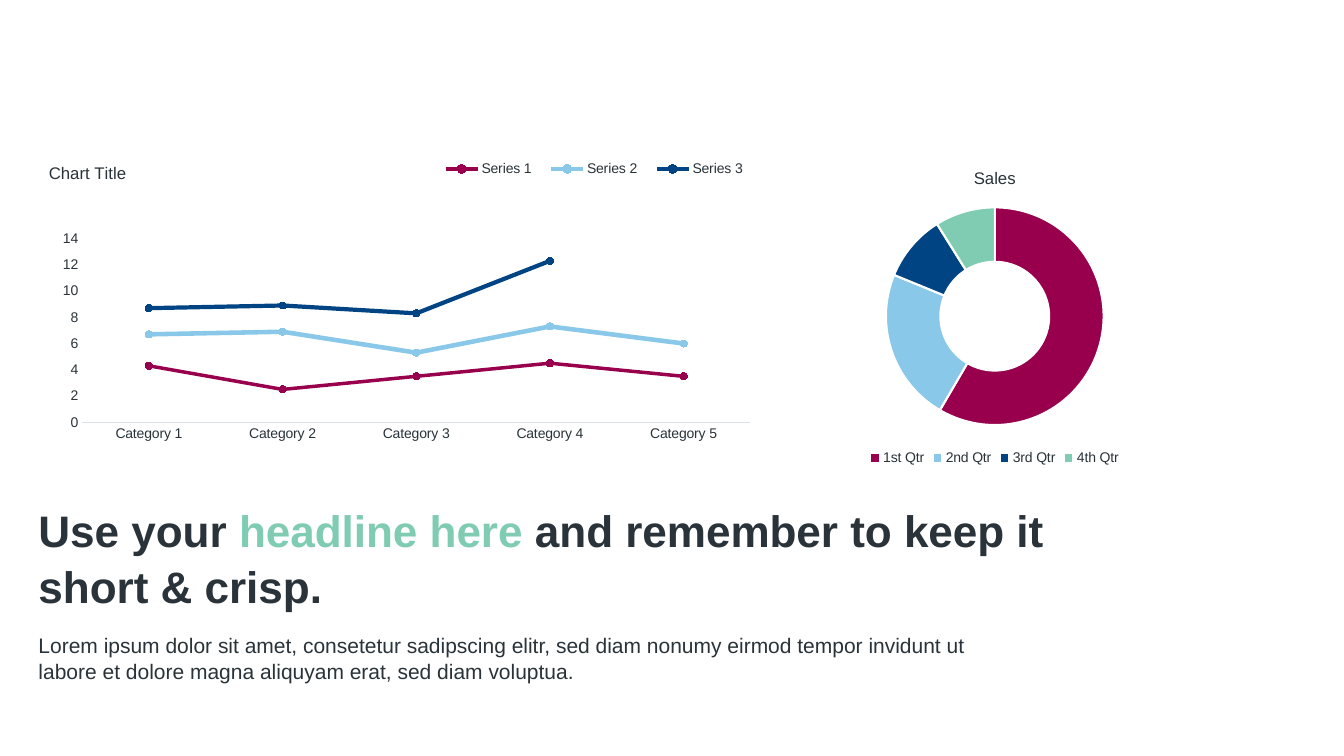
from lxml.etree import SubElement
from pptx import Presentation
from pptx.chart.data import CategoryChartData as ChartData
from pptx.dml.color import RGBColor
from pptx.enum.chart import XL_CHART_TYPE as ChartType
from pptx.enum.chart import XL_LEGEND_POSITION as LegendPosition
from pptx.enum.chart import XL_MARKER_STYLE as MarkerStyle
from pptx.enum.chart import XL_TICK_MARK as TickMark
from pptx.enum.text import MSO_ANCHOR as Anchor
from pptx.enum.text import MSO_AUTO_SIZE as AutoSize
from pptx.enum.text import PP_ALIGN as Align
from pptx.oxml import parse_xml
from pptx.oxml.ns import nsdecls, qn
from pptx.util import Cm, Pt

FONT = "Arial"
INK, BERRY, SKY, NAVY, MINT = "293339", "98004E", "89C8E8", "004484", "7FCCB2"
AXIS_GREY, WHITE = "DBE1E5", "FFFFFF"
LEFT, CHART_TOP, CHART_HEIGHT = 0.97, 3.86, 7.98


def set_color(color_format, value):
    color_format.rgb = RGBColor.from_string(value)


def set_fill(fill, value):
    fill.solid()
    set_color(fill.fore_color, value)


def format_font(font, size, color=INK, bold=False):
    font.name, font.size, font.bold = FONT, Pt(size), bold
    set_color(font.color, color)


def add_text(paragraph, text, **style):
    run = paragraph.add_run()
    run.text = text
    format_font(run.font, **style)


def place_text(shape, box, parts, anchor=Anchor.TOP, **style):
    """Move a placeholder and fill it with (text, color) parts."""
    shape.left, shape.top, shape.width, shape.height = map(Cm, box)
    frame = shape.text_frame
    frame.word_wrap, frame.auto_size = True, AutoSize.NONE
    frame.vertical_anchor = anchor
    frame.margin_left = frame.margin_top = frame.margin_right = frame.margin_bottom = 0
    paragraph = frame.paragraphs[0]
    properties = paragraph._p.get_or_add_pPr()
    properties.set("marL", "0")
    properties.set("indent", "0")
    SubElement(properties, qn("a:buNone"))
    paragraph.alignment = Align.LEFT
    paragraph.line_spacing, paragraph.space_before = 1.05, Pt(0)
    for text, color in parts:
        add_text(paragraph, text, color=color, **style)


def set_layout(chart, part, index, target="", **fractions):
    """Place a chart part by fractions of the chart frame."""
    parent = chart.element.xpath(f"c:chart/c:{part}")[0]
    for old in parent.findall(qn("c:layout")):
        parent.remove(old)
    inner = f'<c:layoutTarget val="{target}"/>' if target else ""
    inner += "".join(f'<c:{key}Mode val="edge"/>' for key in "xy")
    inner += "".join(f'<c:{key} val="{value}"/>' for key, value in fractions.items())
    parent.insert(index, parse_xml(
        f'<c:layout {nsdecls("c")}><c:manualLayout>{inner}</c:manualLayout></c:layout>'))


def add_chart(slide, kind, left, width, title, categories, series):
    data = ChartData()
    data.categories = categories
    for name, values in series:
        data.add_series(name, values)
    chart = slide.shapes.add_chart(
        kind, Cm(left), Cm(CHART_TOP), Cm(width), Cm(CHART_HEIGHT), data).chart
    format_font(chart.font, 10)
    chart.has_title = True
    add_text(chart.chart_title.text_frame.paragraphs[0], title, size=12)
    chart.chart_title.include_in_layout = False
    chart.has_legend = True
    chart.legend.position = LegendPosition.BOTTOM
    chart.legend.include_in_layout = False
    format_font(chart.legend.font, 10)
    return chart


def add_line_chart(slide):
    chart = add_chart(
        slide, ChartType.LINE_MARKERS_STACKED, LEFT, 18.31, "Chart Title",
        [f"Category {number}" for number in range(1, 6)],
        [("Series 1", (4.3, 2.5, 3.5, 4.5, 3.5)),
         ("Series 2", (2.4, 4.4, 1.8, 2.8, 2.5)),
         ("Series 3", (2, 2, 3, 5, None))])
    set_layout(chart, "title", 1, x=0.01, y=0.02)
    set_layout(chart, "legend", 1, x=0.54, y=0.01, w=0.45, h=0.08)
    set_layout(chart, "plotArea", 0, "inner", x=0.06, y=0.27, w=0.92, h=0.58)

    # Axes
    for axis in (chart.category_axis, chart.value_axis):
        axis.major_tick_mark = axis.minor_tick_mark = TickMark.NONE
        axis.has_major_gridlines = False
        format_font(axis.tick_labels.font, 10)
    category_line = chart.category_axis.format.line
    set_fill(category_line.fill, AXIS_GREY)
    category_line.width = Pt(0.75)
    value_axis = chart.value_axis
    value_axis.format.line.fill.background()
    value_axis.minimum_scale, value_axis.maximum_scale = 0, 14
    value_axis.major_unit = 2

    # Series lines and markers
    styles = ((BERRY, 2.5), (SKY, 3.25), (NAVY, 3))
    for series, (color, width) in zip(chart.plots[0].series, styles):
        series.smooth = False
        set_fill(series.format.line.fill, color)
        series.format.line.width = Pt(width)
        marker = series.marker
        marker.style, marker.size = MarkerStyle.CIRCLE, 5
        set_fill(marker.format.fill, color)
        set_fill(marker.format.line.fill, color)


def add_sales_chart(slide):
    chart = add_chart(
        slide, ChartType.DOUGHNUT, 19.99, 10.16, "Sales",
        ["1st Qtr", "2nd Qtr", "3rd Qtr", "4th Qtr"],
        [("Series 1", (59, 23, 10, 9))])
    set_layout(chart, "plotArea", 0, "inner", x=0.23, y=0.17, w=0.54, h=0.69)
    plot = chart.plots[0]
    plot.vary_by_categories = True
    for hole in chart.element.xpath(".//c:holeSize"):
        hole.set("val", "75")
    for index, color in enumerate((BERRY, SKY, NAVY, MINT)):
        ring_part = plot.series[0].points[index].format
        set_fill(ring_part.fill, color)
        set_fill(ring_part.line.fill, WHITE)
        ring_part.line.width = Pt(1.5)


def main():
    presentation = Presentation()
    presentation.slide_width, presentation.slide_height = Cm(33.87), Cm(19.05)
    slide = presentation.slides.add_slide(presentation.slide_layouts[1])

    # Headline and body text
    place_text(slide.shapes.title, (LEFT, 12.52, 27.18, 2.9),
               [("Use your ", INK), ("headline here ", MINT),
                ("and remember to keep it short & crisp.", INK)],
               anchor=Anchor.BOTTOM, size=31.5, bold=True)
    place_text(slide.placeholders[1], (LEFT, 15.9, 23.75, 1.73),
               [("Lorem ipsum dolor sit amet, consetetur sadipscing elitr, sed diam "
                 "nonumy eirmod tempor invidunt ut labore et dolore magna aliquyam "
                 "erat, sed diam voluptua.", INK)], size=15)

    # Charts
    add_line_chart(slide)
    add_sales_chart(slide)
    presentation.save("out.pptx")


if __name__ == "__main__":
    main()
